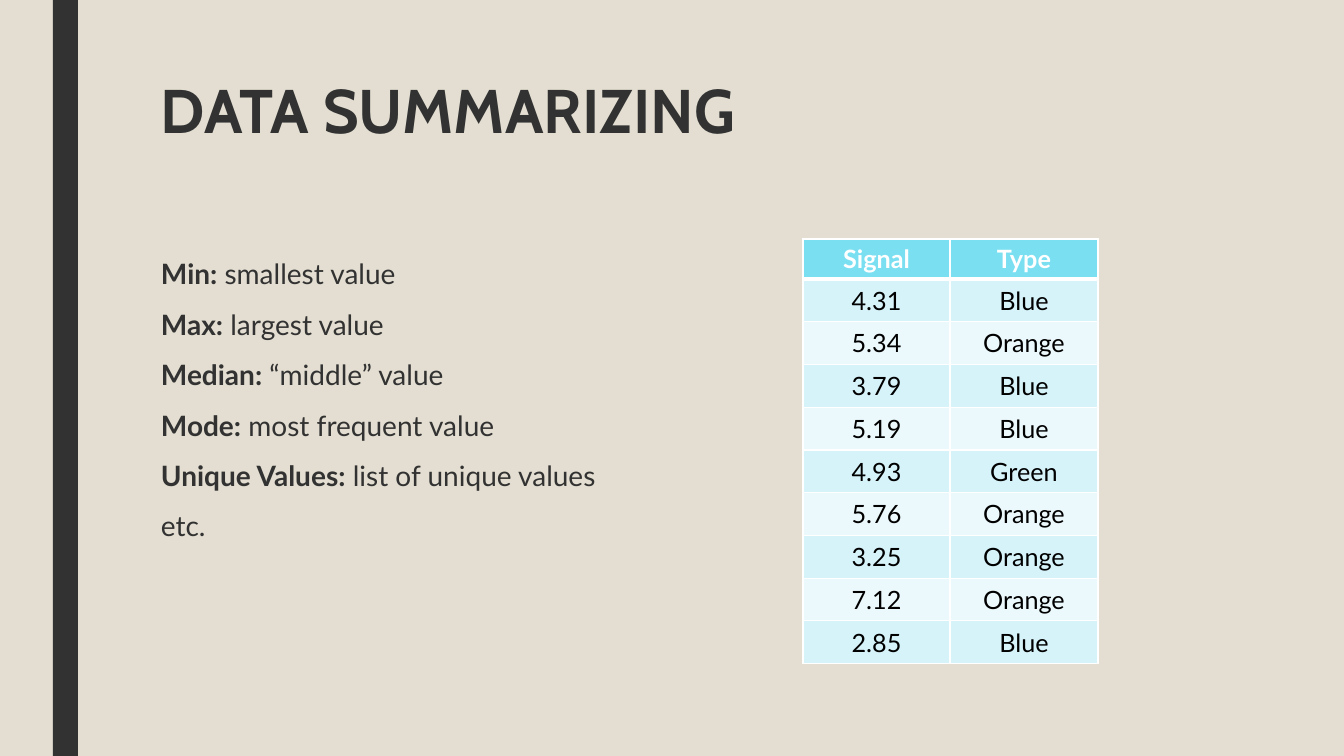
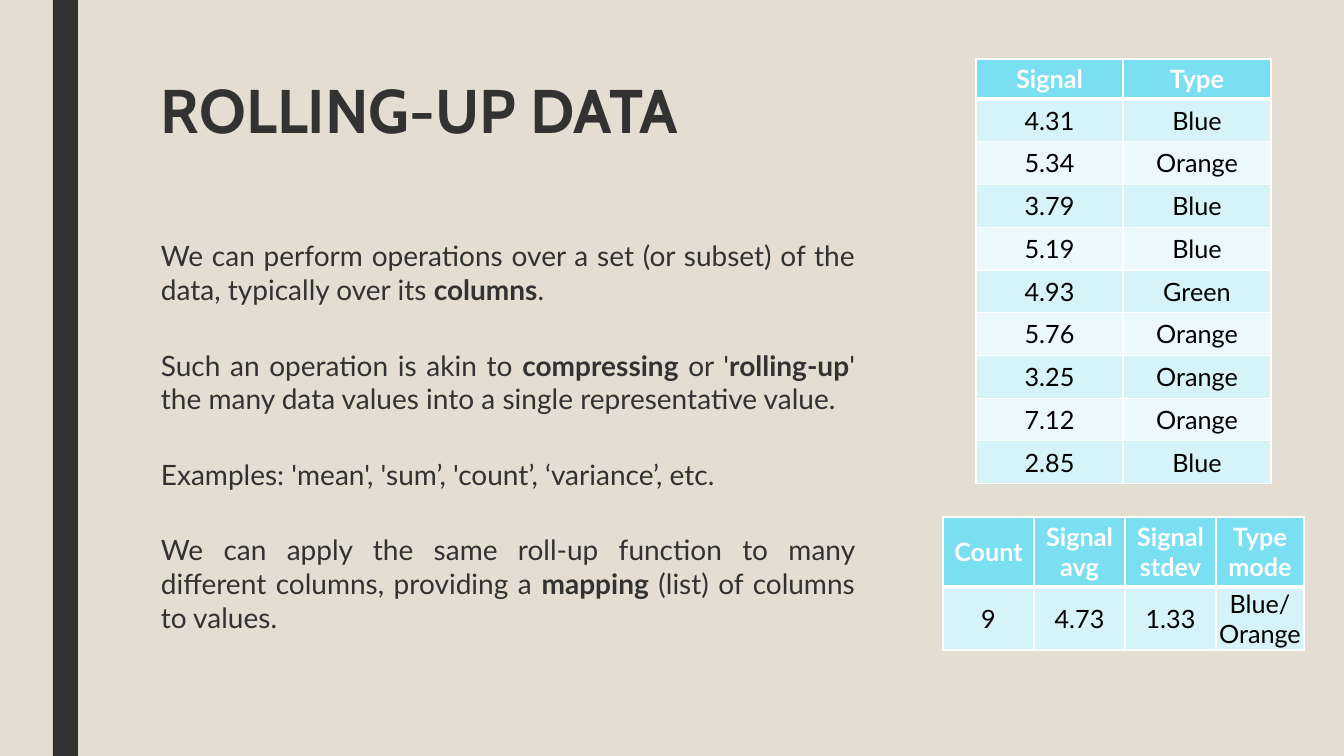
from lxml import etree
from pptx import Presentation
from pptx.dml.color import RGBColor
from pptx.enum.shapes import MSO_SHAPE
from pptx.enum.text import MSO_ANCHOR, PP_ALIGN
from pptx.oxml.ns import qn
from pptx.util import Inches, Pt

RECTANGLE = MSO_SHAPE.RECTANGLE
MIDDLE = MSO_ANCHOR.MIDDLE
LEFT, CENTER, JUSTIFY = PP_ALIGN.LEFT, PP_ALIGN.CENTER, PP_ALIGN.JUSTIFY

EMU_PER_PX = Inches(1) / 100.8
SLIDE_WIDTH, SLIDE_HEIGHT = 1344, 756
TEXT_LEFT = 151
TITLE_FONT, BODY_FONT = "Cabin", "Lato"
COLORS = {
    "background": "E3DED1",
    "dark": "323232",
    "header": "7BDFF2",
    "odd_row": "D7F3FA",
    "even_row": "ECF9FC",
    "white": "FFFFFF",
    "black": "000000",
}

SIGNAL_ROWS = [
    ("Signal", "Type"),
    ("4.31", "Blue"),
    ("5.34", "Orange"),
    ("3.79", "Blue"),
    ("5.19", "Blue"),
    ("4.93", "Green"),
    ("5.76", "Orange"),
    ("3.25", "Orange"),
    ("7.12", "Orange"),
    ("2.85", "Blue"),
]
ROLLED_UP_ROWS = [
    ("Count", "Signal\vavg", "Signal\vstdev", "Type\vmode"),
    ("9", "4.73", "1.33", "Blue/\vOrange"),
]
# Text between asterisks is bold.
SUMMARY_LINES = [
    "*Min:* smallest value",
    "*Max:* largest value",
    "*Median:* “middle” value",
    "*Mode:* most frequent value",
    "*Unique Values:* list of unique values",
    "etc.",
]
ROLL_UP_PARAGRAPHS = [
    "We can perform operations over a set (or subset) of the data, "
    "typically over its *columns*.",
    "Such an operation is akin to *compressing* or '*rolling-up*' "
    "the many data values into a single representative value.",
    "Examples: 'mean', 'sum’, 'count’, ‘variance’, etc.",
    "We can apply the same roll-up function to many different columns, "
    "providing a *mapping* (list) of columns to values.",
]


def px(length):
    return round(length * EMU_PER_PX)


def color(name):
    return RGBColor.from_string(COLORS[name])


def style_font(font, name, size, color_name, bold=None):
    font.name = name
    font.size = Pt(size)
    font.bold = bold
    font.color.rgb = color(color_name)


def set_borders(cell, top, bottom):
    """Draw white cell borders; top and bottom are widths in points."""
    properties = cell._tc.get_or_add_tcPr()
    widths = {"a:lnL": 1, "a:lnR": 1, "a:lnT": top, "a:lnB": bottom}
    for position, (tag, width) in enumerate(widths.items()):
        line = etree.Element(qn(tag), w=str(Pt(width)))
        fill = etree.SubElement(line, qn("a:solidFill"))
        etree.SubElement(fill, qn("a:srgbClr"), val=COLORS["white"])
        properties.insert(position, line)


class Deck:
    def __init__(self):
        self.presentation = Presentation()
        self.presentation.slide_width = px(SLIDE_WIDTH)
        self.presentation.slide_height = px(SLIDE_HEIGHT)
        self.slide = None

    def new_slide(self, title):
        """Start a slide with the shared background, band and title."""
        layout = self.presentation.slide_layouts[6]
        self.slide = self.presentation.slides.add_slide(layout)
        background = self.slide.background.fill
        background.solid()
        background.fore_color.rgb = color("background")
        self.band(53, 25)
        self.title(title)

    def band(self, left, width):
        shape = self.slide.shapes.add_shape(
            RECTANGLE, px(left), 0, px(width), px(SLIDE_HEIGHT))
        shape.shadow.inherit = False
        shape.fill.solid()
        shape.fill.fore_color.rgb = color("dark")
        shape.line.fill.background()

    def text_frame(self, top, width, height):
        box = self.slide.shapes.add_textbox(
            px(TEXT_LEFT), px(top), px(width), px(height))
        box.text_frame.word_wrap = True
        return box.text_frame

    def title(self, text):
        paragraph = self.text_frame(76, 1058, 163).paragraphs[0]
        paragraph.text = text
        paragraph.line_spacing = 0.89
        style_font(paragraph.font, TITLE_FONT, 44, "dark", True)

    def body(self, top, width, texts, gap, alignment=LEFT):
        """Add paragraphs that are gap points apart."""
        frame = self.text_frame(top, width, 395)
        for index, text in enumerate(texts):
            paragraph = frame.add_paragraph() if index else frame.paragraphs[0]
            paragraph.alignment = alignment
            paragraph.space_after = Pt(gap)
            style_font(paragraph.font, BODY_FONT, 20, "dark")
            for part_index, part in enumerate(text.split("*")):
                if part:
                    run = paragraph.add_run()
                    run.text = part
                    run.font.bold = part_index % 2 == 1

    def table(self, left, top, column_widths, header_height, height, rows):
        """Add a banded table; the body rows share what the header leaves."""
        table = self.slide.shapes.add_table(
            len(rows), len(column_widths), px(left), px(top),
            px(sum(column_widths)), px(height)).table
        for column, width in zip(table.columns, column_widths):
            column.width = px(width)
        body_height = (height - header_height) / (len(rows) - 1)
        for row_index, values in enumerate(rows):
            is_header = row_index == 0
            table.rows[row_index].height = px(
                header_height if is_header else body_height)
            for column_index, value in enumerate(values):
                self.cell(table.cell(row_index, column_index), value, row_index)

    def cell(self, cell, text, row_index):
        is_header = row_index == 0
        band = "odd_row" if row_index % 2 else "even_row"
        cell.text = text
        cell.vertical_anchor = MIDDLE
        cell.margin_left = cell.margin_right = px(1)
        cell.margin_top = cell.margin_bottom = px(1)
        cell.fill.solid()
        cell.fill.fore_color.rgb = color("header" if is_header else band)
        set_borders(cell, 3 if row_index == 1 else 1, 3 if is_header else 1)
        paragraph = cell.text_frame.paragraphs[0]
        paragraph.alignment = CENTER
        style_font(paragraph.font, BODY_FONT, 18,
                   "white" if is_header else "black", is_header)

    def signal_table(self, left, top):
        self.table(left, top, [147, 148], 40, 425, SIGNAL_ROWS)


def main():
    deck = Deck()

    deck.new_slide("DATA SUMMARIZING")
    deck.body(252, 490, SUMMARY_LINES, 12)
    deck.signal_table(803, 239)

    deck.new_slide("ROLLING-UP DATA")
    deck.body(234, 714, ROLL_UP_PARAGRAPHS, 30, JUSTIFY)
    deck.signal_table(976, 59)
    deck.table(943, 517, [91, 91, 91, 88], 70, 133, ROLLED_UP_ROWS)

    deck.presentation.save("out.pptx")


if __name__ == "__main__":
    main()
